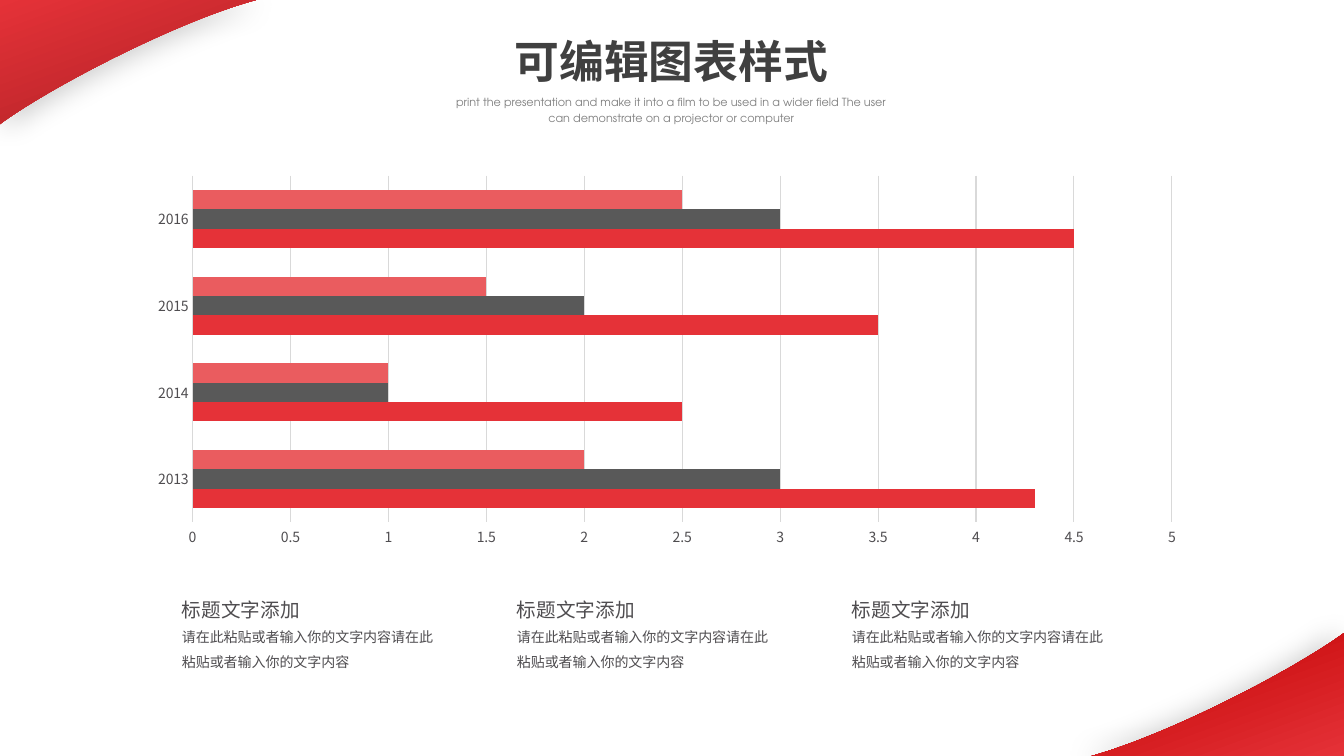
from dataclasses import dataclass

from lxml import etree
from pptx import Presentation
from pptx.chart.data import CategoryChartData
from pptx.dml.color import RGBColor
from pptx.enum.chart import XL_CHART_TYPE, XL_TICK_MARK
from pptx.enum.text import PP_ALIGN
from pptx.oxml.ns import qn
from pptx.util import Pt

PX = 914400 / 100.8
PAGE_WIDTH, PAGE_HEIGHT = 1344, 756
BARS = XL_CHART_TYPE.BAR_CLUSTERED
NO_TICKS = XL_TICK_MARK.NONE
LEFT, CENTER = PP_ALIGN.LEFT, PP_ALIGN.CENTER


@dataclass(frozen=True)
class Theme:
    red: str = "E53238"
    corner_top: str = "AC2125"
    corner_bottom: str = "C00000"
    rose: str = "EA5C5F"
    gray: str = "595959"
    grid: str = "D9D9D9"
    title: str = "404040"
    subtitle: str = "808080"
    body: str = "4F4D50"
    body_font: str = "Noto Sans CJK SC"
    title_font: str = "TeX Gyre Adventor"
    title_size: int = 32
    heading_size: int = 14
    body_size: int = 10
    subtitle_size: int = 8


def emu(px):
    return round(px * PX)


def color(value):
    return RGBColor.from_string(value)


def curve(start, first, second, end, steps=40):
    """Points along a cubic curve, without its start."""
    points = []
    for step in range(1, steps + 1):
        t = step / steps
        weights = ((1 - t) ** 3, 3 * t * (1 - t) ** 2, 3 * t * t * (1 - t), t ** 3)
        controls = (start, first, second, end)
        points.append(tuple(sum(w * c[axis] for w, c in zip(weights, controls))
                            for axis in (0, 1)))
    return points


class SlideBuilder:
    def __init__(self, page, theme):
        self.page = page
        self.theme = theme

    def corner(self, points, stops, shadow_angle):
        start, *rest = [(emu(x), emu(y)) for x, y in points]
        builder = self.page.shapes.build_freeform(*start)
        builder.add_line_segments(rest, close=True)
        shape = builder.convert_to_shape()
        shape.fill.gradient()
        shape.fill.gradient_angle = 290
        for stop, position, value in zip(shape.fill.gradient_stops, (0, 1), stops):
            stop.position = position
            stop.color.rgb = color(value)
        shape.line.fill.background()
        self.soft_shadow(shape, shadow_angle)

    def soft_shadow(self, shape, angle):
        shape.shadow.inherit = False
        effects = shape._element.spPr.find(qn("a:effectLst"))
        shadow = etree.SubElement(
            effects, qn("a:outerShdw"), blurRad=str(Pt(20)), dist=str(Pt(5)),
            dir=str(angle * 60000), algn="ctr", rotWithShape="0")
        black = etree.SubElement(shadow, qn("a:srgbClr"), val="000000")
        etree.SubElement(black, qn("a:alpha"), val="20000")

    def text(self, words, left, top, width, height, *, size, ink, font,
             bold=False, align=LEFT, spacing=1.0):
        box = self.page.shapes.add_textbox(*map(emu, (left, top, width, height)))
        box.text_frame.word_wrap = True
        para = box.text_frame.paragraphs[0]
        para.alignment = align
        para.line_spacing = spacing
        span = para.add_run()
        span.text = words
        span.font.size = Pt(size)
        span.font.bold = bold
        span.font.name = font
        span.font.color.rgb = color(ink)
        # East Asian text shares the title face's line metrics.
        etree.SubElement(span.font._element, qn("a:ea"), typeface=self.theme.title_font)

    def bar_chart(self, left, top, width, height, categories, series):
        """Each series is a name, its values and its colour."""
        theme = self.theme
        data = CategoryChartData()
        data.categories = categories
        for name, values, _ in series:
            data.add_series(name, values)
        chart = self.page.shapes.add_chart(
            BARS, *map(emu, (left, top, width, height)), data).chart
        chart.has_legend = False
        chart.has_title = False
        chart.font.name = theme.body_font
        chart.font.size = Pt(theme.body_size)
        chart.font.color.rgb = color(theme.body)

        plot = chart.plots[0]
        plot.gap_width = 150
        plot.vary_by_categories = False
        for bars, (_, _, fill) in zip(plot.series, series):
            bars.format.fill.solid()
            bars.format.fill.fore_color.rgb = color(fill)

        for axis in (chart.category_axis, chart.value_axis):
            axis.major_tick_mark = NO_TICKS
            axis.minor_tick_mark = NO_TICKS
            axis.format.line.fill.background()
        chart.category_axis.has_major_gridlines = False
        values_axis = chart.value_axis
        values_axis.minimum_scale, values_axis.maximum_scale = 0, 5
        values_axis.major_unit = 0.5
        values_axis.has_major_gridlines = True
        grid = values_axis.major_gridlines.format.line
        grid.color.rgb = color(theme.grid)
        grid.width = Pt(0.75)


def main():
    deck = Presentation()
    deck.slide_width, deck.slide_height = emu(PAGE_WIDTH), emu(PAGE_HEIGHT)
    theme = Theme()
    slide = SlideBuilder(deck.slides.add_slide(deck.slide_layouts[6]), theme)

    top_corner = [(0, 0), (256, 0), *curve((256, 0), (175, 22), (49, 88), (0, 124))]
    bottom_corner = [(PAGE_WIDTH - x, PAGE_HEIGHT + 1 - y) for x, y in top_corner]
    slide.corner(top_corner, (theme.red, theme.corner_top), 45)
    slide.corner(bottom_corner, (theme.corner_bottom, theme.red), 180)

    slide.bar_chart(137, 168, 1060, 386, ("2013", "2014", "2015", "2016"), (
        ("Series 1", (4.3, 2.5, 3.5, 4.5), theme.red),
        ("Series 2", (3, 1, 2, 3), theme.gray),
        ("Series 3", (2, 1, 1.5, 2.5), theme.rose),
    ))

    for column in range(3):
        left = 172 + 335 * column
        slide.text("标题文字添加", left, 581, 222, 37, size=theme.heading_size,
                   ink=theme.body, font=theme.body_font, spacing=1.5)
        slide.text("请在此粘贴或者输入你的文字内容请在此粘贴或者输入你的文字内容",
                   left, 615, 277, 62, size=theme.body_size,
                   ink=theme.body, font=theme.body_font, spacing=1.5)

    slide.text("可编辑图表样式", 436, 29, 471, 65, size=theme.title_size,
               ink=theme.title, font=theme.title_font, bold=True, align=CENTER)
    slide.text("print the presentation and make it into a film to be used in a wider "
               "field The user can demonstrate on a projector or computer",
               436, 88, 471, 42, size=theme.subtitle_size, ink=theme.subtitle,
               font=theme.title_font, align=CENTER, spacing=1.2)

    deck.save("out.pptx")


if __name__ == "__main__":
    main()
